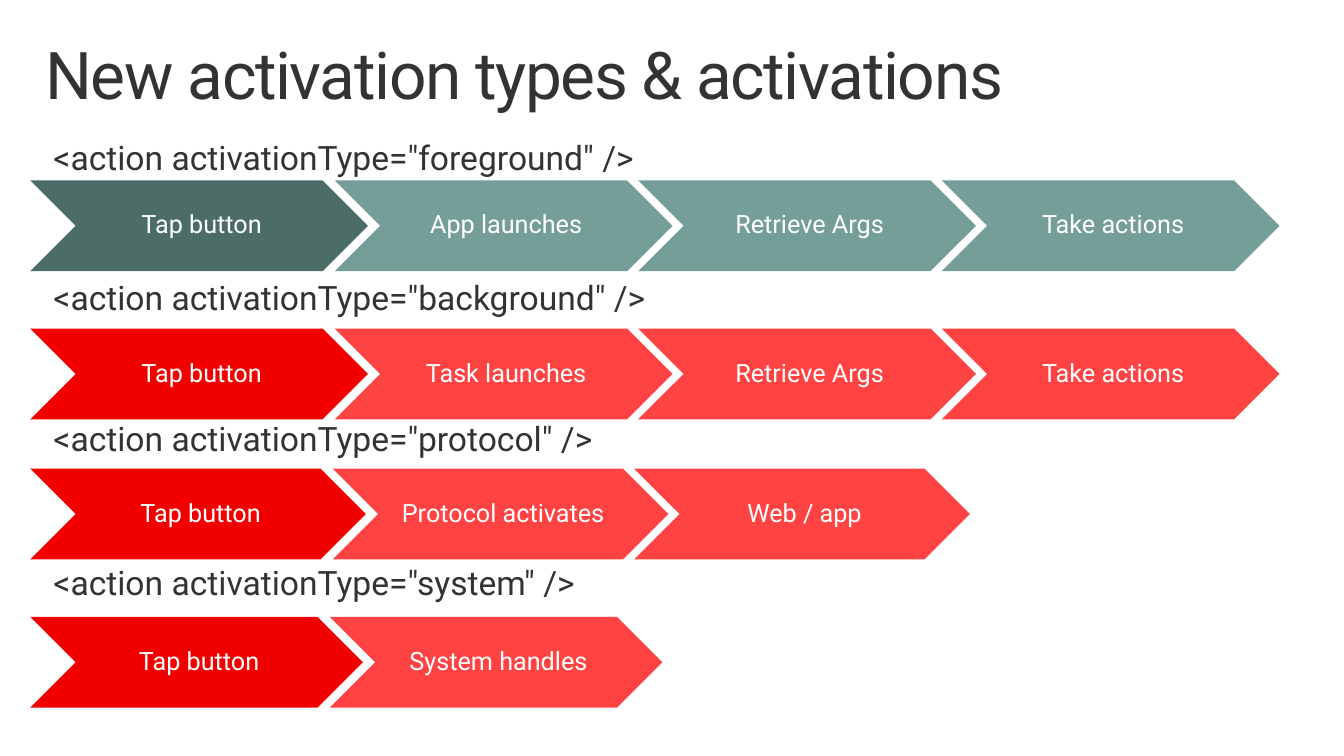
"""Build the slide on activation types, one row of chevrons per type."""
from dataclasses import dataclass

from lxml.etree import SubElement
from pptx import Presentation
from pptx.dml.color import RGBColor
from pptx.enum.shapes import MSO_SHAPE as SHAPE
from pptx.enum.text import MSO_ANCHOR as ANCHOR, MSO_AUTO_SIZE as AUTO, PP_ALIGN as ALIGN
from pptx.oxml.ns import qn
from pptx.shapes.base import BaseShape
from pptx.slide import Slide
from pptx.text.text import TextFrame, _Paragraph as Paragraph
from pptx.util import Emu, Pt

EMU_PER_PX = 9144
FONT = "Roboto"
INK = RGBColor(0x33, 0x33, 0x33)
WHITE = RGBColor(0xFF, 0xFF, 0xFF)
DARK_TEAL = RGBColor(0x4C, 0x6C, 0x68)
TEAL = RGBColor(0x75, 0x9E, 0x99)
DARK_RED = RGBColor(0xF2, 0x00, 0x00)
RED = RGBColor(0xFF, 0x43, 0x43)
ROW_LEFT = 30
ROW_HEIGHT = 90
STEP_RATIO = 0.9


@dataclass(frozen=True)
class Flow:
    """One activation type with its chain of steps."""
    kind: str
    space_before: float
    top: int
    width: int
    first: RGBColor
    rest: RGBColor
    steps: tuple[str, ...]


FLOWS = (
    Flow("foreground", 0, 179, 335, DARK_TEAL, TEAL,
         ("Tap button", "App launches", "Retrieve Args", "Take actions")),
    Flow("background", 74.5, 326, 335, DARK_RED, RED,
         ("Tap button", "Task launches", "Retrieve Args", "Take actions")),
    Flow("protocol", 74.5, 465, 333, DARK_RED, RED,
         ("Tap button", "Protocol activates", "Web / app")),
    Flow("system", 77, 612, 330, DARK_RED, RED,
         ("Tap button", "System handles")),
)


def px(n: int) -> Emu:
    """Turn px into EMU."""
    return Emu(n * EMU_PER_PX)


def place(sp: BaseShape, left: int, top: int, width: int, height: int) -> None:
    """Move and size a shape."""
    sp.left, sp.top, sp.width, sp.height = px(left), px(top), px(width), px(height)


def set_frame(tf: TextFrame, anchor: ANCHOR, insets: tuple[int, int, int, int]) -> None:
    """Set wrapping, anchor and insets of a text frame."""
    tf.word_wrap = True
    tf.auto_size = AUTO.NONE
    tf.vertical_anchor = anchor
    tf.margin_left, tf.margin_top, tf.margin_right, tf.margin_bottom = map(px, insets)


def format_paragraph(p: Paragraph, size: int, color: RGBColor, align: ALIGN,
                     space_before: float = 0) -> None:
    """Format a paragraph and its runs."""
    p.alignment = align
    p.line_spacing = 0.9
    p.space_before = Pt(space_before)
    for r in p.runs:
        r.font.name = FONT
        r.font.size = Pt(size)
        r.font.color.rgb = color


def add_title(s: Slide, text: str) -> None:
    """Fill the title placeholder."""
    sp = s.shapes.title
    place(sp, 29, 32, 1275, 98)
    tf = sp.text_frame
    tf.text = text
    set_frame(tf, ANCHOR.TOP, (16, 10, 16, 10))
    p = tf.paragraphs[0]
    format_paragraph(p, 47, INK, ALIGN.LEFT)
    p.runs[0]._r.get_or_add_rPr().set("spc", "-100")


def add_headings(s: Slide, flows: tuple[Flow, ...]) -> None:
    """Fill the body placeholder with one heading per flow."""
    sp = s.placeholders[1]
    place(sp, 0, 130, 1274, 530)
    tf = sp.text_frame
    tf.text = "\n".join(f'<action activationType="{flow.kind}" />' for flow in flows)
    set_frame(tf, ANCHOR.TOP, (16, 10, 16, 10))
    for p, flow in zip(tf.paragraphs, flows):
        p.level = 1
        format_paragraph(p, 24, INK, ALIGN.LEFT, flow.space_before)
        pPr = p._p.get_or_add_pPr()
        pPr.set("marL", str(px(37)))
        pPr.set("indent", "0")
        SubElement(pPr, qn("a:buNone"))


def add_flow(s: Slide, flow: Flow) -> None:
    """Draw the overlapping chevrons of one flow."""
    for i, step in enumerate(flow.steps):
        left = ROW_LEFT + round(i * flow.width * STEP_RATIO)
        sp = s.shapes.add_shape(SHAPE.CHEVRON, px(left), px(flow.top),
                                px(flow.width), px(ROW_HEIGHT))
        sp.shadow.inherit = False
        sp.fill.solid()
        sp.fill.fore_color.rgb = flow.rest if i else flow.first
        sp.line.fill.background()
        tf = sp.text_frame
        tf.text = step
        set_frame(tf, ANCHOR.MIDDLE, (8, 3, 3, 3))
        format_paragraph(tf.paragraphs[0], 18, WHITE, ALIGN.CENTER)


def main() -> None:
    """Build and save the presentation."""
    prs = Presentation()
    prs.slide_width, prs.slide_height = px(1333), px(750)
    s = prs.slides.add_slide(prs.slide_layouts[1])
    add_title(s, "New activation types & activations")
    add_headings(s, FLOWS)
    for flow in FLOWS:
        add_flow(s, flow)
    prs.save("out.pptx")


if __name__ == "__main__":
    main()
